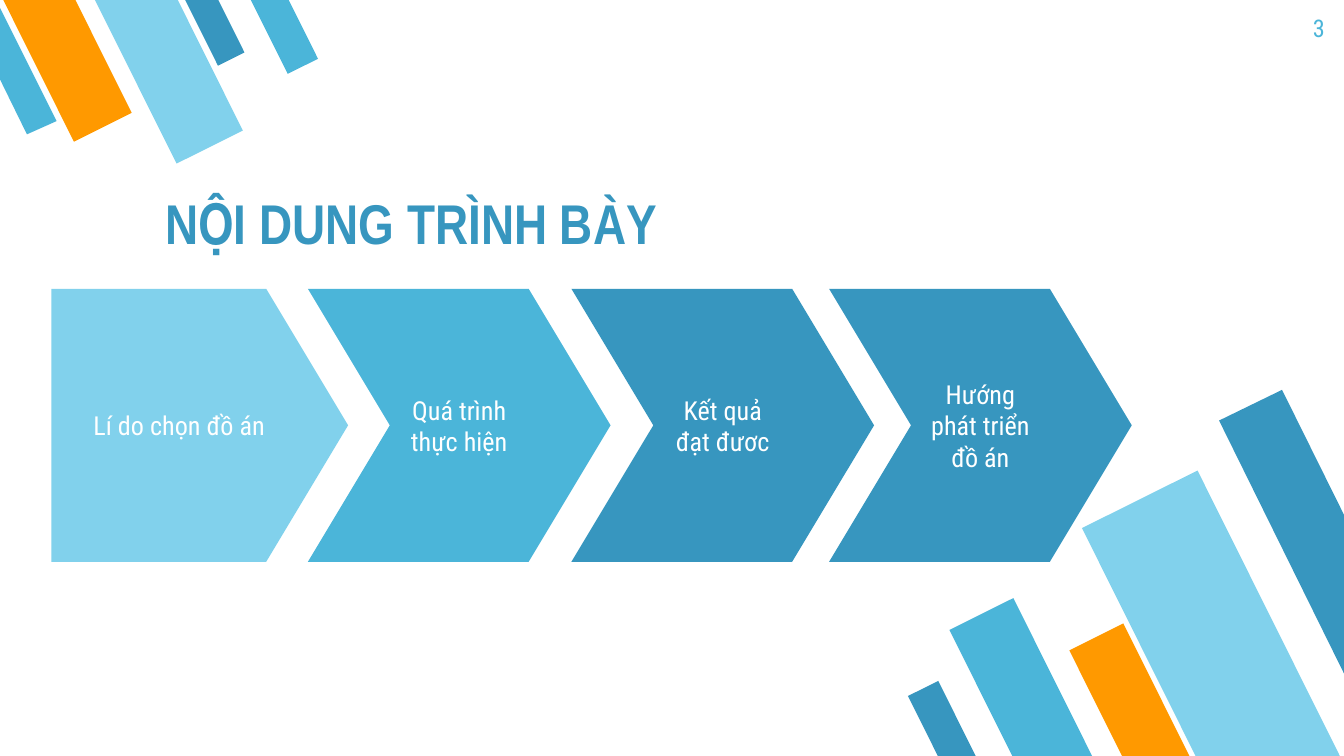
"""Build a contents slide with four arrow steps between striped corners."""
import pptx
import pptx.dml.color
import pptx.enum.shapes
import pptx.enum.text
import pptx.util

Cm = pptx.util.Cm
RGBColor = pptx.dml.color.RGBColor
Kind = pptx.enum.shapes.MSO_SHAPE
Align = pptx.enum.text.PP_ALIGN
Anchor = pptx.enum.text.MSO_ANCHOR

PALE = RGBColor(0x81, 0xD1, 0xEC)
SKY = RGBColor(0x4B, 0xB5, 0xD9)
DEEP = RGBColor(0x37, 0x96, 0xBF)
GOLD = RGBColor(0xFF, 0x99, 0x00)
WHITE = RGBColor(0xFF, 0xFF, 0xFF)

LOWER = [(18.62, 11.43, 1.35, SKY), (21.67, 9.12, 2.44, PALE),
         (20.78, 11.89, 1.14, GOLD), (17.48, 12.93, 0.64, DEEP)]
UPPER = [(3.78, -0.2, 0.56, DEEP), (0.66, -0.46, 1.22, GOLD),
         (2.49, -0.51, 1.4, PALE), (5.05, -0.25, 0.64, SKY)]
EDGES = [([(24.23, 7.37), (23.04, 7.95), (25.4, 12.73), (25.4, 9.73)], DEEP),
         ([(0.51, 2.54), (1.07, 2.29), (0, 0.15), (0, 1.5)], SKY)]
STEPS = [("Lí do chọn đồ án", Kind.PENTAGON, 0.97, 5.61, PALE),
         ("Quá trình thực hiện", Kind.CHEVRON, 5.82, 5.72, SKY),
         ("Kết quả đạt đươc", Kind.CHEVRON, 10.8, 5.72, DEEP),
         ("Hướng phát triển đồ án", Kind.CHEVRON, 15.67, 5.72, DEEP)]


def paint(shape, color):
    """Give a shape a flat fill without line or shadow."""
    shape.shadow.inherit = False
    shape.fill.solid()
    shape.fill.fore_color.rgb = color
    shape.line.fill.background()


def write(shape, text, size, color, font="Roboto Condensed", bold=False,
          align=Align.LEFT, anchor=Anchor.TOP):
    """Put formatted text into a shape."""
    frame = shape.text_frame
    frame.word_wrap = True
    frame.vertical_anchor = anchor
    frame.margin_left = frame.margin_right = Cm(0.25)
    frame.margin_top = frame.margin_bottom = Cm(0.25)
    line = frame.paragraphs[0]
    line.alignment = align
    run = line.add_run()
    run.text = text
    run.font.size = pptx.util.Pt(size)
    run.font.name = font
    run.font.bold = bold
    run.font.color.rgb = color


def add_box(slide, left, top, width, height, text, **format):
    """Add a text box."""
    box = slide.shapes.add_textbox(Cm(left), Cm(top), Cm(width), Cm(height))
    write(box, text, **format)


def add_stripe(slide, left, top, width, color, turn):
    """Add a slanted stripe whose cut end lies along the slide edge."""
    stripe = slide.shapes.add_shape(Kind.FLOWCHART_MANUAL_INPUT, Cm(left),
                                    Cm(top), Cm(width), Cm(2.48 * width))
    stripe.element.spPr.xfrm.set("flipH", "1")
    stripe.rotation = turn
    paint(stripe, color)


def add_edge(slide, points, color):
    """Add a stripe that is cut off by the side of the slide."""
    first, *rest = [(Cm(x), Cm(y)) for x, y in points]
    pen = slide.shapes.build_freeform(*first)
    pen.add_line_segments(rest)
    paint(pen.convert_to_shape(), color)


def add_step(slide, text, kind, left, width, color):
    """Add one arrow step with its label."""
    step = slide.shapes.add_shape(kind, Cm(left), Cm(5.46), Cm(width), Cm(5.16))
    step.adjustments[0] = 0.3
    paint(step, color)
    write(step, text, size=14, color=WHITE, align=Align.CENTER,
          anchor=Anchor.MIDDLE)


def main():
    """Build and save the slide."""
    deck = pptx.Presentation()
    deck.slide_width, deck.slide_height = Cm(25.4), Cm(14.29)
    slide = deck.slides.add_slide(deck.slide_layouts[6])
    for group, turn in ((LOWER, 153.5), (UPPER, 333.5)):
        for stripe in group:
            add_stripe(slide, *stripe, turn)
    for edge in EDGES:
        add_edge(slide, *edge)
    add_box(slide, 2.87, 3.2, 16, 1.88, "NỘI DUNG TRÌNH BÀY", size=30,
            color=DEEP, font="Arial Narrow", bold=True, anchor=Anchor.BOTTOM)
    for step in STEPS:
        add_step(slide, *step)
    add_box(slide, 23.77, 0, 1.52, 1.09, "3", size=13, color=SKY,
            align=Align.RIGHT)
    deck.save("out.pptx")


if __name__ == "__main__":
    main()
